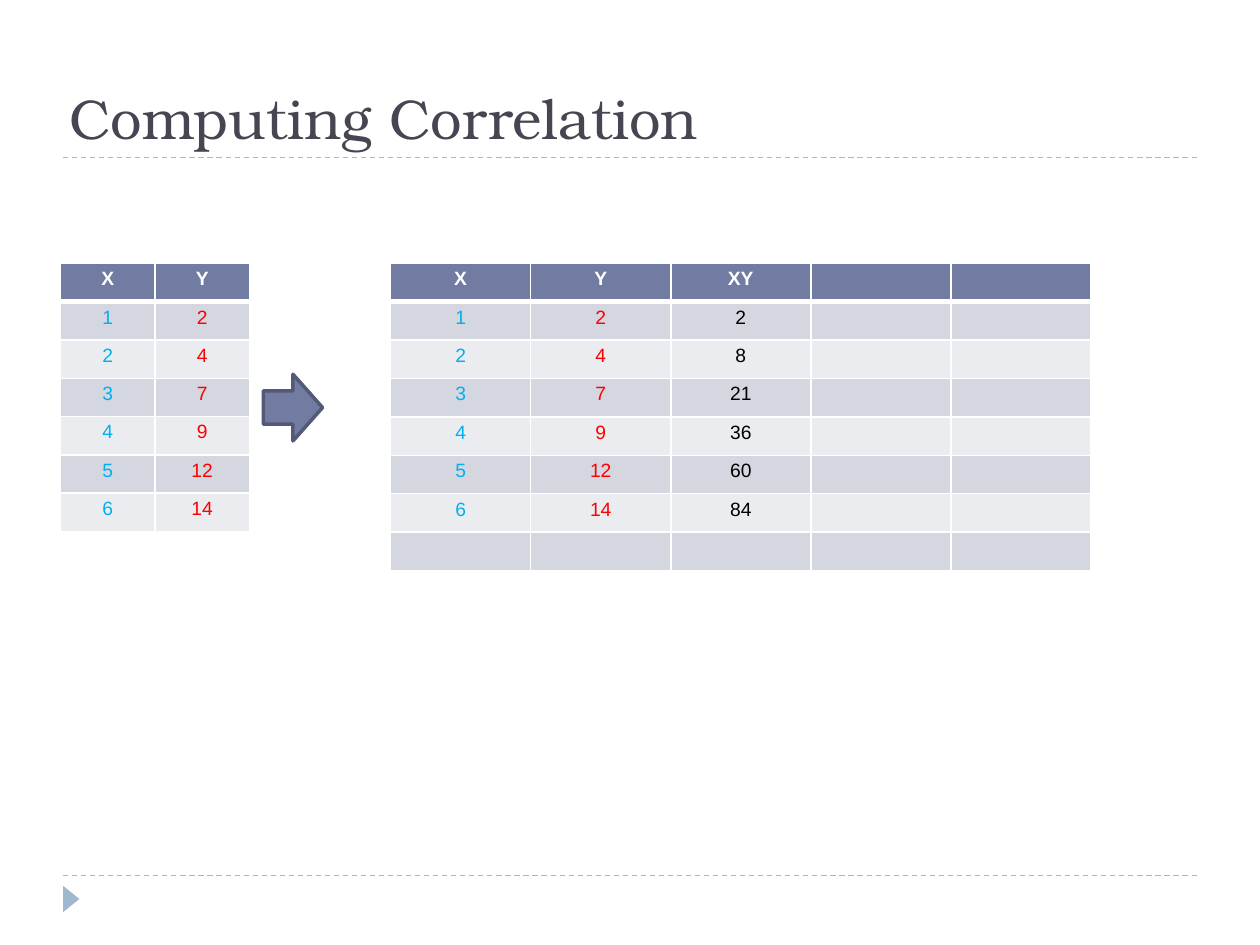
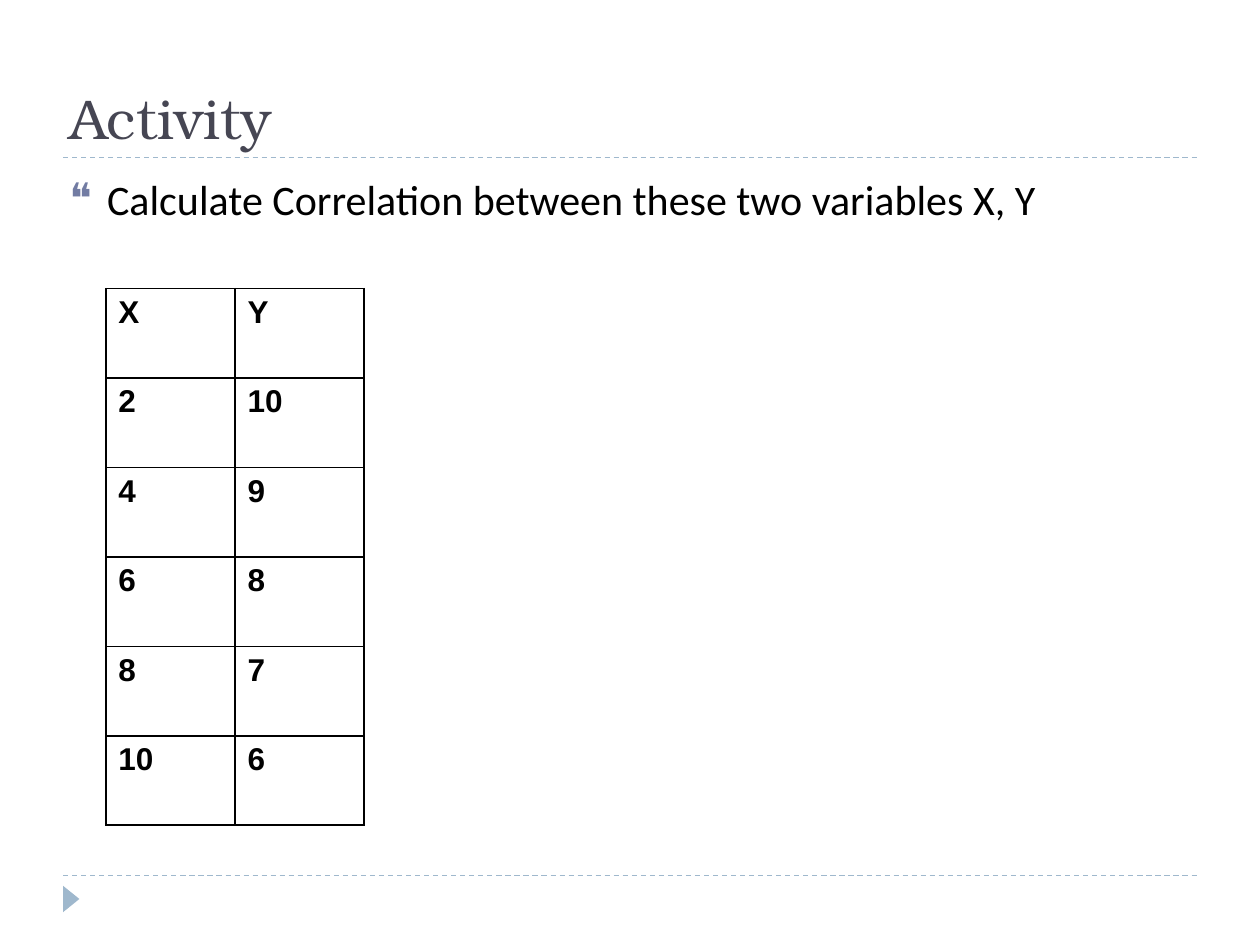
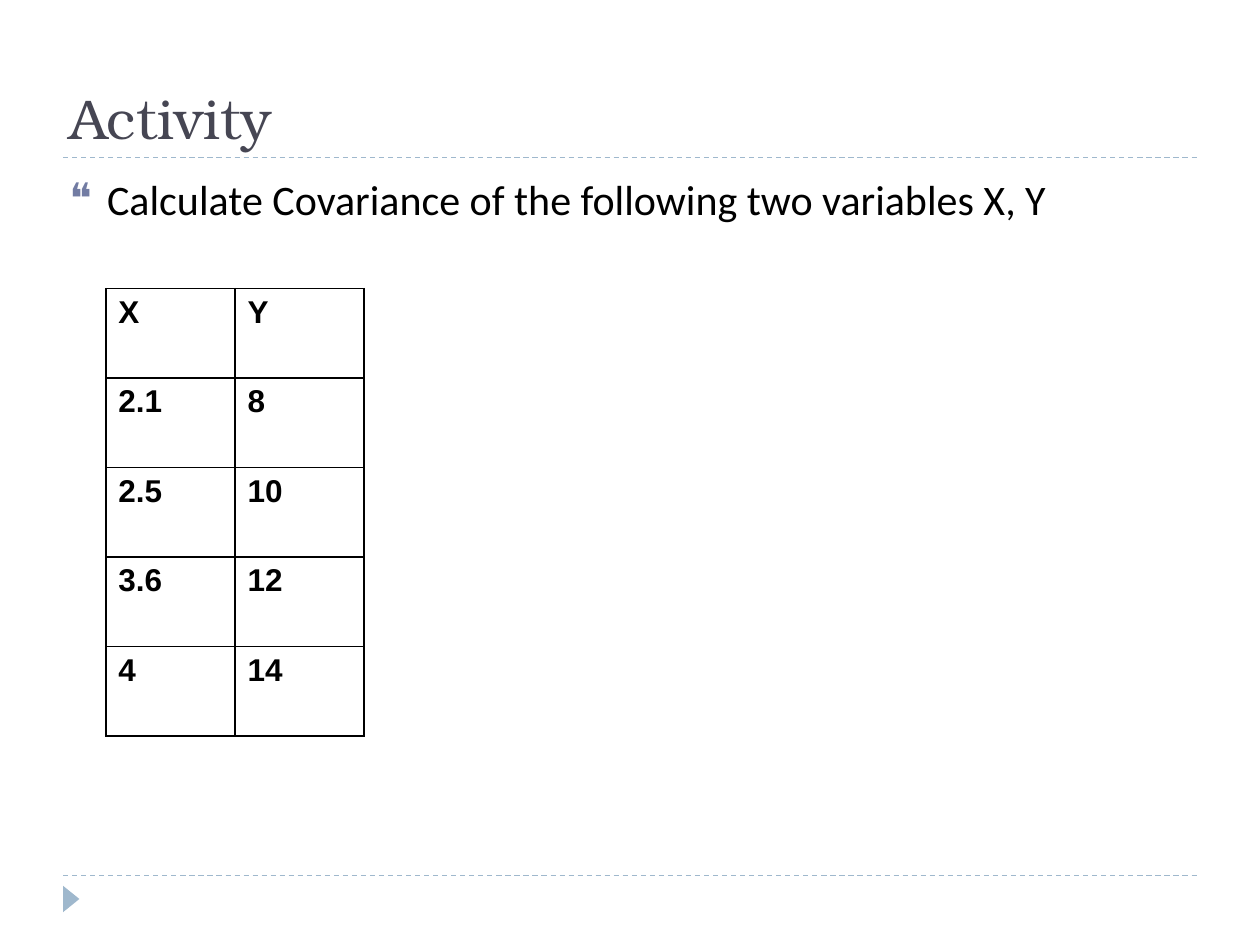
from lxml.etree import SubElement
from pptx import Presentation
from pptx.dml.color import RGBColor
from pptx.enum.dml import MSO_LINE
from pptx.enum.shapes import MSO_CONNECTOR, MSO_SHAPE
from pptx.enum.text import MSO_ANCHOR, MSO_AUTO_SIZE, PP_ALIGN
from pptx.oxml.ns import qn
from pptx.util import Inches, Pt

WHITE = RGBColor(0xFF, 0xFF, 0xFF)
BLACK = RGBColor(0x00, 0x00, 0x00)
INK = RGBColor(0x46, 0x46, 0x53)
SLATE = RGBColor(0x72, 0x7C, 0xA3)
SLATE_DARK = RGBColor(0x53, 0x5A, 0x76)
MIST = RGBColor(0x9F, 0xB8, 0xCD)
BAND_DARK = RGBColor(0xD4, 0xD6, 0xE0)
BAND_LIGHT = RGBColor(0xEB, 0xEC, 0xF0)
X_BLUE = RGBColor(0x00, 0xB0, 0xF0)
Y_RED = RGBColor(0xFF, 0x00, 0x00)

TITLE_FONT, BODY_FONT, TABLE_FONT = "TeX Gyre Bonum", "Calibri", "Arial"
TITLE_BOX = (0.5, 0.17, 9, 1.08)
BODY_BOX = (0.5, 1.33, 9, 5.4)
RULE_HEIGHTS = (1.25, 6.95)
TITLE_ONLY, TITLE_AND_BODY = 5, 1

X_VALUES = (1, 2, 3, 4, 5, 6)
Y_VALUES = (2, 4, 7, 9, 12, 14)


def place(shape, box):
    shape.left, shape.top, shape.width, shape.height = map(Inches, box)


def add_run(para, text, font, size, color, bold=False):
    span = para.add_run()
    span.text = str(text)
    span.font.name = font
    span.font.size = Pt(size)
    span.font.bold = bold
    span.font.color.rgb = color


def fill_placeholder(holder, box, text, font, size, color, anchor):
    place(holder, box)
    frame = holder.text_frame
    frame.word_wrap = True
    frame.auto_size = MSO_AUTO_SIZE.NONE
    frame.vertical_anchor = anchor
    frame.margin_left = frame.margin_right = Inches(0.05)
    frame.margin_top = frame.margin_bottom = Inches(0.05)
    para = frame.paragraphs[0]
    para.alignment = PP_ALIGN.LEFT
    para.space_before = Pt(0)
    add_run(para, text, font, size, color)
    return para


def add_preset(page, kind, box, fill):
    shape = page.shapes.add_shape(kind, *map(Inches, box))
    shape.shadow.inherit = False
    shape.fill.solid()
    shape.fill.fore_color.rgb = fill
    shape.line.fill.background()
    return shape


def add_frame(page):
    """Draw the dashed rules and the footer marker found on every slide."""
    for y in RULE_HEIGHTS:
        rule = page.shapes.add_connector(
            MSO_CONNECTOR.STRAIGHT, Inches(0.5), Inches(y), Inches(9.5), Inches(y))
        rule.line.color.rgb = MIST
        rule.line.width = Pt(0.75)
        rule.line.dash_style = MSO_LINE.DASH
        SubElement(rule._element.spPr, qn("a:effectLst"))
    marker = add_preset(page, MSO_SHAPE.ISOSCELES_TRIANGLE, (0.46, 7.07, 0.21, 0.13), MIST)
    marker.rotation = 90


def add_page(deck, layout, title):
    page = deck.slides.add_slide(deck.slide_layouts[layout])
    add_frame(page)
    fill_placeholder(page.shapes.title, TITLE_BOX, title, TITLE_FONT, 32, INK,
                     MSO_ANCHOR.BOTTOM)
    return page


def set_borders(cell, color, top=1, bottom=1):
    props = cell._tc.get_or_add_tcPr()
    for side, width in (("L", 1), ("R", 1), ("T", top), ("B", bottom)):
        line = SubElement(props, qn(f"a:ln{side}"), w=str(Pt(width)))
        solid = SubElement(line, qn("a:solidFill"))
        SubElement(solid, qn("a:srgbClr"), val=str(color))


def add_grid(page, box, rows, style_cell):
    """Add a plain table of equal cells; style_cell fills in each one."""
    grid = page.shapes.add_table(len(rows), len(rows[0]), *map(Inches, box)).table
    grid.first_row = grid.horz_banding = False
    for column in grid.columns:
        column.width = Inches(box[2] / len(rows[0]))
    for r, values in enumerate(rows):
        grid.rows[r].height = Inches(box[3] / len(rows))
        for c, value in enumerate(values):
            style_cell(grid.cell(r, c), r, c, value)


def style_banded_cell(cell, r, c, value):
    header = r == 0
    set_borders(cell, WHITE, top=3 if r == 1 else 1, bottom=3 if header else 1)
    cell.fill.solid()
    cell.fill.fore_color.rgb = SLATE if header else (BAND_LIGHT, BAND_DARK)[r % 2]
    cell.margin_left = cell.margin_right = Inches(0.07)
    cell.margin_top = cell.margin_bottom = Inches(0.04)
    para = cell.text_frame.paragraphs[0]
    para.alignment = PP_ALIGN.CENTER
    if value == "":
        SubElement(para._p, qn("a:endParaRPr"), sz="1100")
    else:
        color = WHITE if header else (X_BLUE, Y_RED, BLACK)[c]
        add_run(para, value, TABLE_FONT, 11, color, bold=header)


def style_outlined_cell(cell, r, c, value):
    set_borders(cell, BLACK)
    cell.fill.background()
    add_run(cell.text_frame.paragraphs[0], value, TABLE_FONT, 18, BLACK, bold=True)


def add_computing_page(deck):
    page = add_page(deck, TITLE_ONLY, "Computing Correlation")
    pairs = list(zip(X_VALUES, Y_VALUES))
    add_grid(page, (0.48, 2.09, 1.5, 2.13), [("X", "Y"), *pairs], style_banded_cell)
    arrow = add_preset(page, MSO_SHAPE.RIGHT_ARROW, (2.09, 2.97, 0.47, 0.53), SLATE)
    arrow.line.color.rgb = SLATE_DARK
    arrow.line.width = Pt(2)
    products = [(x, y, x * y, "", "") for x, y in pairs]
    add_grid(page, (3.1, 2.09, 5.56, 2.44),
             [("X", "Y", "XY", "", ""), *products, ("",) * 5], style_banded_cell)


def add_activity_page(deck, task, pairs):
    page = add_page(deck, TITLE_AND_BODY, "Activity")
    para = fill_placeholder(page.placeholders[1], BODY_BOX, task, BODY_FONT, 24, BLACK,
                            MSO_ANCHOR.TOP)
    props = para._p.get_or_add_pPr()
    props.set("marL", str(Inches(0.3)))
    props.set("indent", str(-Inches(0.3)))
    SubElement(SubElement(props, qn("a:buClr")), qn("a:srgbClr"), val=str(SLATE))
    SubElement(props, qn("a:buChar"), char="❝")
    rows = [("X", "Y"), *pairs]
    add_grid(page, (0.84, 2.29, 2.05, 0.71 * len(rows)), rows, style_outlined_cell)


def main():
    deck = Presentation()
    deck.slide_width, deck.slide_height = Inches(10), Inches(7.5)
    add_computing_page(deck)
    add_activity_page(deck, "Calculate Correlation between these two variables X, Y",
                      [(2, 10), (4, 9), (6, 8), (8, 7), (10, 6)])
    add_activity_page(deck, "Calculate Covariance of the following two variables X, Y",
                      [(2.1, 8), (2.5, 10), (3.6, 12), (4, 14)])
    deck.save("out.pptx")


if __name__ == "__main__":
    main()
